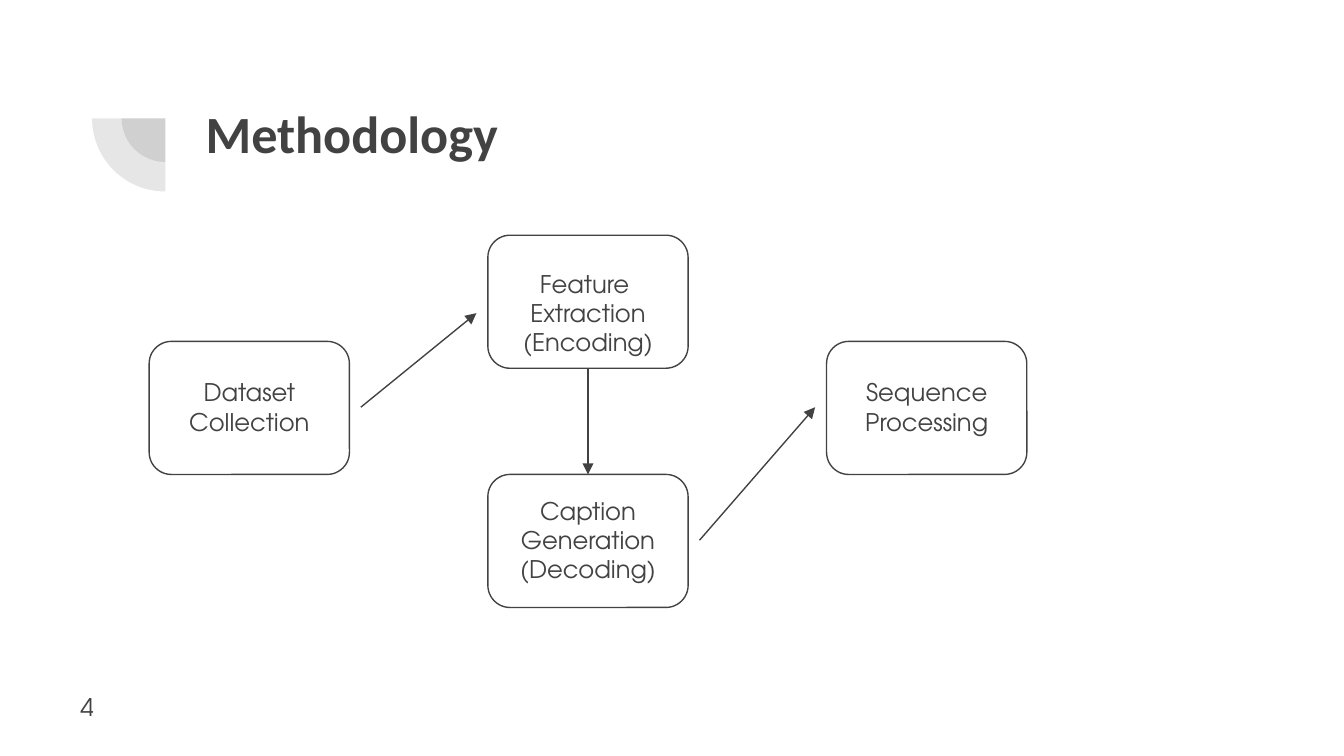
from lxml import etree
from pptx import Presentation
from pptx.dml.color import RGBColor
from pptx.enum.shapes import MSO_CONNECTOR as Connector, MSO_SHAPE as Shape
from pptx.enum.text import MSO_ANCHOR as Anchor, MSO_AUTO_SIZE as AutoSize, PP_ALIGN as Align
from pptx.oxml.ns import qn
from pptx.util import Inches, Pt

# Content: name -> (left, top, label top, label height, paragraphs)
STEPS = {
    "dataset": (1.11, 2.54, 2.71, 0.64, ["Dataset Collection"]),
    "feature": (3.63, 1.75, 1.9, 0.86, ["Feature ", "Extraction (Encoding)"]),
    "caption": (3.63, 3.53, 3.59, 0.86, ["Caption Generation", "(Decoding)"]),
    "sequence": (6.15, 2.54, 2.71, 0.64, ["Sequence Processing"]),
}
TITLE = "Methodology"
PAGE_NUMBER = "4"
PIE_SIZES = (0.65, 1.09)
PIE_CENTER = (1.23, 0.88)

STEP_WIDTH, STEP_HEIGHT, LABEL_WIDTH = 1.49, 0.99, 1.66
TOP, LEFT, BOTTOM, RIGHT = range(4)
INK = RGBColor(0x42, 0x42, 0x42)
WHITE = RGBColor(0xFF, 0xFF, 0xFF)
BODY_FONT, TITLE_FONT = "TeX Gyre Adventor", "Calibri"


def write(shape, lines, size, font, align=Align.LEFT, bold=False):
    frame = shape.text_frame
    frame.text = "\n".join(lines)
    frame.word_wrap = True
    frame.vertical_anchor = Anchor.TOP
    frame.margin_left = frame.margin_right = Inches(0.1)
    frame.margin_top = frame.margin_bottom = Inches(0.1)
    for para in frame.paragraphs:
        para.alignment = align
        for span in para.runs:
            span.font.size = Pt(size)
            span.font.name = font
            span.font.bold = bold
            span.font.color.rgb = INK


def add_label(page, left, top, width, height, lines, align=Align.LEFT):
    box = page.shapes.add_textbox(Inches(left), Inches(top), Inches(width), Inches(height))
    write(box, lines, 13, BODY_FONT, align)
    return box


def add_quarter(page, size):
    left, top = (center - size / 2 for center in PIE_CENTER)
    pie = page.shapes.add_shape(Shape.PIE, Inches(left), Inches(top), Inches(size), Inches(size))
    pie.adjustments[0], pie.adjustments[1] = 108, 162  # 180 to 270 degrees
    pie.rotation = 270
    pie.shadow.inherit = False
    pie.line.fill.background()
    pie.fill.solid()
    pie.fill.fore_color.rgb = INK
    color = pie.fill._xPr.find(qn("a:solidFill"))[0]
    etree.SubElement(color, qn("a:alpha"), val="13000")


def add_step(page, left, top):
    step = page.shapes.add_shape(Shape.FLOWCHART_ALTERNATE_PROCESS, Inches(left), Inches(top),
                                 Inches(STEP_WIDTH), Inches(STEP_HEIGHT))
    step.shadow.inherit = False
    step.fill.solid()
    step.fill.fore_color.rgb = WHITE
    step.line.color.rgb = INK
    step.line.width = Pt(0.75)
    return step


def add_arrow(page, start, start_side, end, end_side):
    arrow = page.shapes.add_connector(Connector.STRAIGHT, 0, 0, 0, 0)
    arrow.begin_connect(start, start_side)
    arrow.end_connect(end, end_side)
    arrow.line.color.rgb = INK
    arrow.line.width = Pt(0.75)
    etree.SubElement(arrow.line._get_or_add_ln(), qn("a:tailEnd"), type="triangle")
    etree.SubElement(arrow._element.spPr, qn("a:effectLst"))


def main():
    deck = Presentation()
    deck.slide_width = Inches(10)
    deck.slide_height = deck.slide_width * 9 // 16
    page = deck.slides.add_slide(deck.slide_layouts[5])

    # Title and its ornament
    title = page.shapes.title
    title.left, title.top, title.width, title.height = map(Inches, (1.43, 0.65, 7.69, 1.09))
    write(title, [TITLE], 28, TITLE_FONT, bold=True)
    title.text_frame.auto_size = AutoSize.NONE
    for size in PIE_SIZES:
        add_quarter(page, size)

    # Steps, then their labels
    steps = {name: add_step(page, left, top) for name, (left, top, *_) in STEPS.items()}
    labels = {}
    for name, (left, _, label_top, height, lines) in STEPS.items():
        label_left = left + (STEP_WIDTH - LABEL_WIDTH) / 2
        labels[name] = add_label(page, label_left, label_top, LABEL_WIDTH, height,
                                 lines, Align.CENTER)
        labels[name].text_frame.auto_size = AutoSize.SHAPE_TO_FIT_TEXT

    # Flow: slanted arrows stop at the labels, the vertical one at the steps
    add_arrow(page, labels["dataset"], RIGHT, labels["feature"], LEFT)
    add_arrow(page, steps["feature"], BOTTOM, steps["caption"], TOP)
    add_arrow(page, labels["caption"], RIGHT, labels["sequence"], LEFT)

    # Page number
    add_label(page, 0.5, 5.05, 0.46, 0.37, [PAGE_NUMBER])

    deck.save("out.pptx")


if __name__ == "__main__":
    main()
